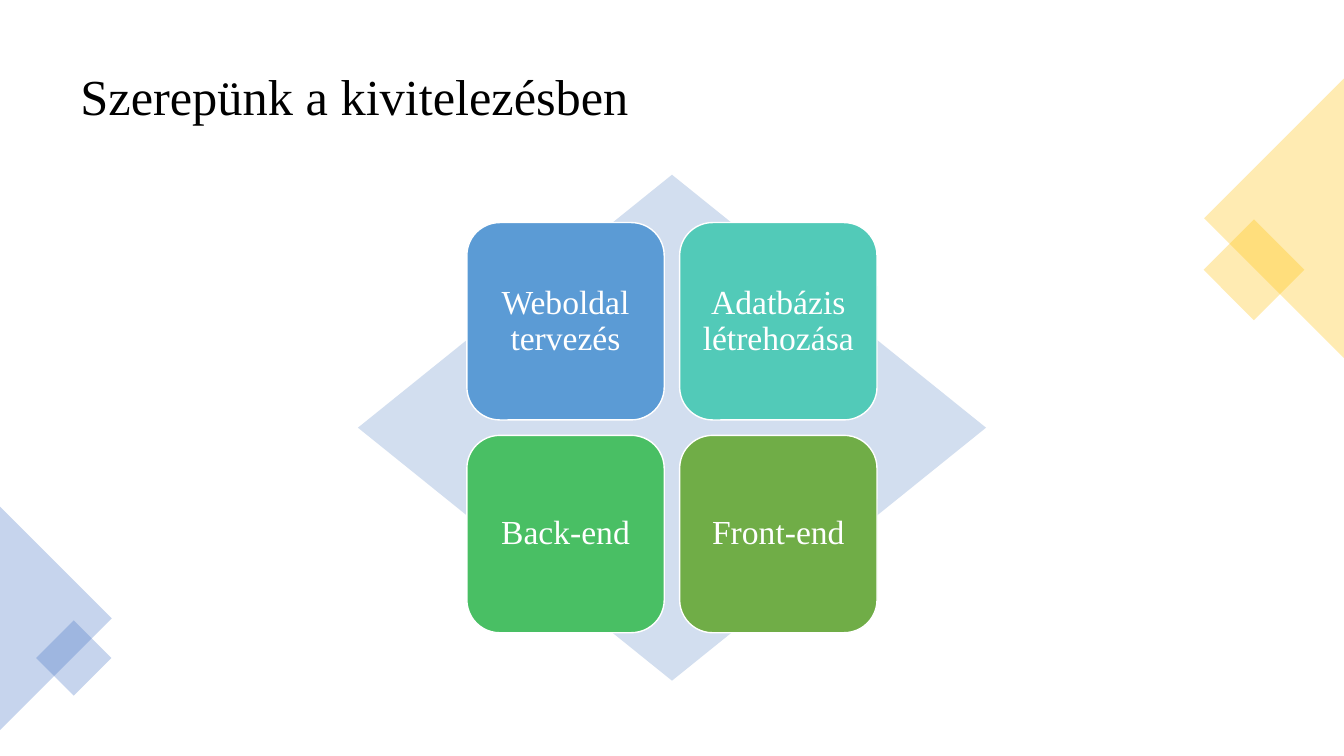
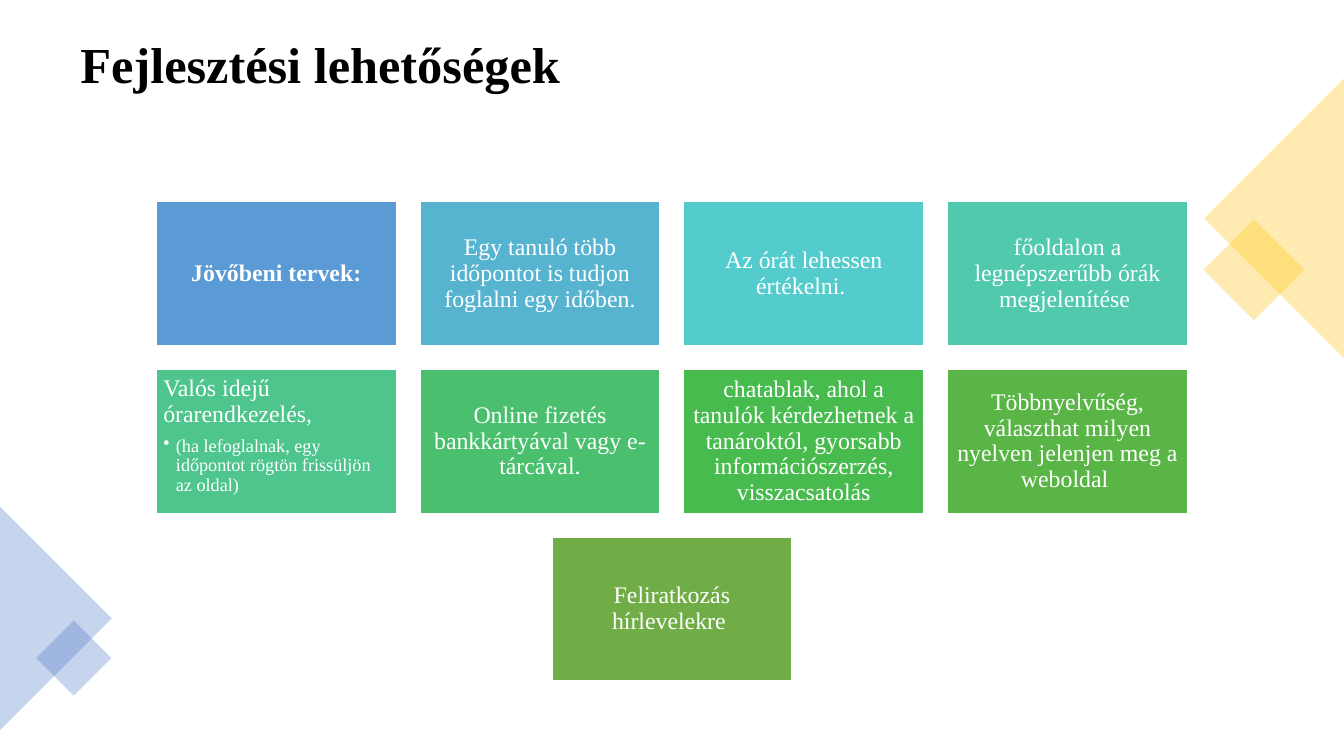
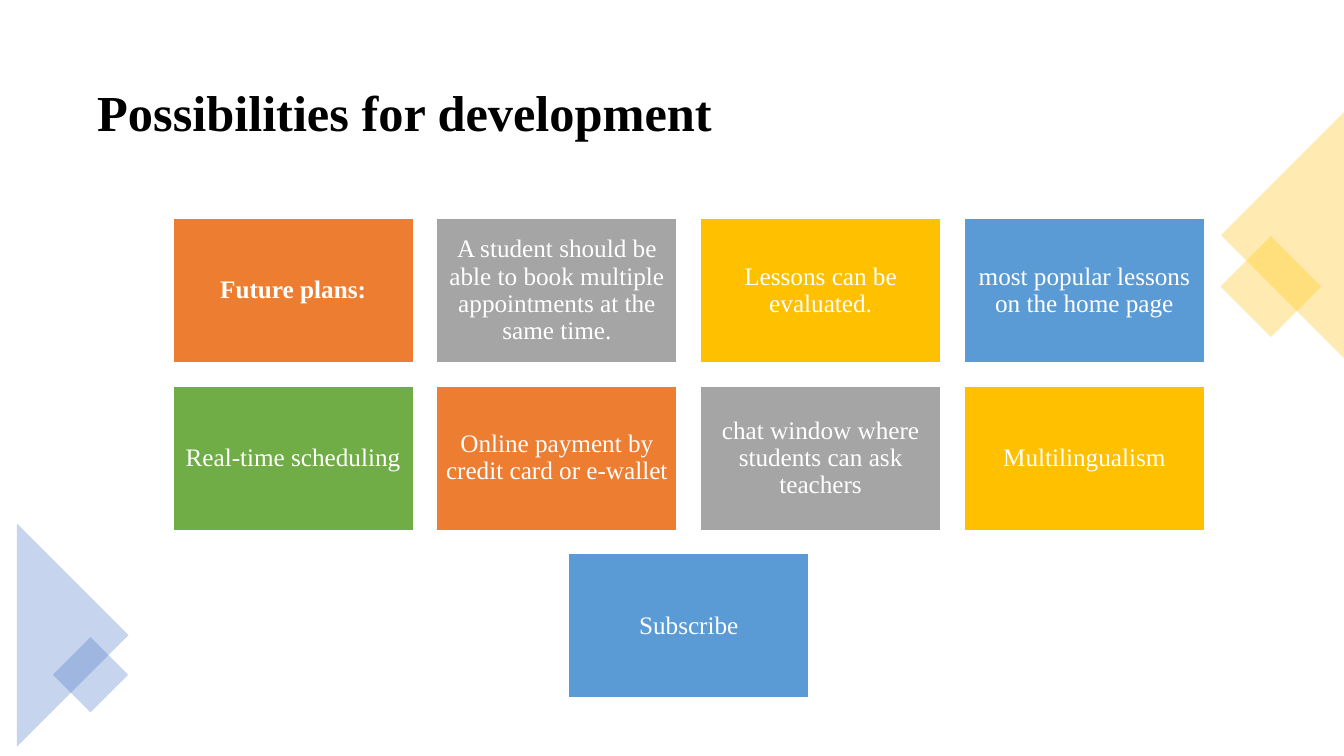
"""Build three slides of tile diagrams framed by corner diamonds."""
from lxml import etree
from pptx import Presentation, util as u
from pptx.dml.color import RGBColor
from pptx.enum import shapes, text
from pptx.oxml.ns import qn

Pt, Kind, Align = u.Pt, shapes.MSO_SHAPE, text.PP_ALIGN


class Theme:
    font = "Times New Roman"
    ink, white, pale = "000000", "FFFFFF", "D2DEEF"
    gold, navy = "FFC000", "4472C4"
    blue, green, orange, gray = "5B9BD5", "70AD47", "ED7D31", "A5A5A5"
    fade = 30
    head, large, mid, base, small = 36, 24, 18, 17, 13
    wide, high = 960, 540


def draw(slide, kind, box, fill, line=None, turn=0, alpha=100):
    """Add a flat preset shape."""
    item = slide.shapes.add_shape(kind, *map(Pt, box))
    item.shadow.inherit = False
    item.rotation = turn
    item.fill.solid()
    item.fill.fore_color.rgb = RGBColor.from_string(fill)
    if alpha < 100:
        tint = item.fill._xPr.find(".//" + qn("a:srgbClr"))
        etree.SubElement(tint, qn("a:alpha"), val=str(alpha * 1000))
    if line:
        item.line.color.rgb = RGBColor.from_string(line)
        item.line.width = Pt(1)
    else:
        item.line.fill.background()
    return item


def write(para, size, color, bold, align):
    """Style one paragraph."""
    para.line_spacing = 0.9
    para.alignment = align
    para.font.name = Theme.font
    para.font.size = Pt(size)
    para.font.bold = bold
    para.font.color.rgb = RGBColor.from_string(color)


corners = [
    (Kind.RECTANGLE, (870.2, 167.2, 51, 51), Theme.gold, 45),
    (Kind.ISOSCELES_TRIANGLE, (810.2, 106, 199.6, 99.8), Theme.gold, 270),
    (Kind.ISOSCELES_TRIANGLE, (-39.7, 401.8, 159.4, 79.7), Theme.navy, 90),
    (Kind.RECTANGLE, (33.7, 451, 38, 38), Theme.navy, 45),
]

roles = [
    ("Weboldal tervezés", Theme.blue),
    ("Adatbázis létrehozása", "52CAB8"),
    ("Back-end", "49BF64"),
    ("Front-end", Theme.green),
]
plans = [
    ("Jövőbeni tervek:", Theme.blue),
    ("Egy tanuló több időpontot is tudjon foglalni egy időben.", "57B4D1"),
    ("Az órát lehessen értékelni. ", "54CCCD"),
    ("főoldalon a legnépszerűbb órák megjelenítése ", "51C9AD"),
    ("Valós idejű órarendkezelés,\n"
     "(ha lefoglalnak, egy időpontot rögtön frissüljön az oldal)", "4DC58D"),
    ("Online fizetés bankkártyával vagy e-tárcával.", "4AC06E"),
    ("chatablak, ahol a tanulók kérdezhetnek a tanároktól, "
     "gyorsabb információszerzés, visszacsatolás", "48BB4F"),
    ("Többnyelvűség, választhat milyen nyelven jelenjen meg a weboldal ", "59B546"),
    ("Feliratkozás hírlevelekre ", Theme.green),
]
goals = [
    ("Future plans:", Theme.orange),
    ("A student should be able to book multiple appointments at the same time.",
     Theme.gray),
    ("Lessons can be evaluated.", Theme.gold),
    ("most popular lessons on the home page", Theme.blue),
    ("Real-time scheduling", Theme.green),
    ("Online payment by credit card or e-wallet", Theme.orange),
    ("chat window where students can ask teachers", Theme.gray),
    ("Multilingualism", Theme.gold),
    ("Subscribe", Theme.blue),
]

square = dict(kind=Kind.ROUNDED_RECTANGLE, cols=2, w=141, h=141, gap=11, top=159)
oblong = dict(kind=Kind.RECTANGLE, cols=4, w=171.6, h=103, gap=16.8, top=144)
pages = [
    ("Szerepünk a kivitelezésben", 26, False, 0, square, roles, Theme.large),
    ("Fejlesztési lehetőségek", 3.5, True, 0, oblong, plans, Theme.base),
    ("Possibilities for development", 26, True, 12, oblong, goals, Theme.mid),
]

deck = Presentation()
deck.slide_width, deck.slide_height = Pt(Theme.wide), Pt(Theme.high)

for title, top, bold, shift, grid, tiles, size in pages:
    slide = deck.slides.add_slide(deck.slide_layouts[6])

    box = slide.shapes.add_textbox(Pt(50.4 + shift), Pt(top + shift), Pt(859), Pt(89.3))
    frame = box.text_frame
    frame.word_wrap = True
    frame.vertical_anchor = text.MSO_ANCHOR.MIDDLE
    frame.text = title
    write(frame.paragraphs[0], Theme.head, Theme.ink, bold, Align.LEFT)

    for kind, (x, y, w, h), fill, turn in corners:
        draw(slide, kind, (x + shift, y + shift, w, h), fill, turn=turn, alpha=Theme.fade)

    if grid is square:
        draw(slide, Kind.DIAMOND, (255.7, 124.8, 448.6, 361.4), Theme.pale)

    cols, w, h, gap = grid["cols"], grid["w"], grid["h"], grid["gap"]
    for i, (words, fill) in enumerate(tiles):
        row, col = divmod(i, cols)
        count = min(cols, len(tiles) - row * cols)
        left = (Theme.wide - count * (w + gap) + gap) / 2 + shift
        spot = (left + col * (w + gap), grid["top"] + shift + row * (h + gap), w, h)
        tile = draw(slide, grid["kind"], spot, fill, line=Theme.white)
        frame = tile.text_frame
        frame.word_wrap = True
        frame.margin_left = frame.margin_right = Pt(size * 0.3)
        frame.margin_top = frame.margin_bottom = Pt(size * 0.3)
        frame.text = words
        first, *rest = frame.paragraphs
        frame.vertical_anchor = text.MSO_ANCHOR.TOP if rest else text.MSO_ANCHOR.MIDDLE
        write(first, size, Theme.white, bold and i == 0,
              Align.LEFT if rest else Align.CENTER)
        for para in rest:
            first.space_after = Pt(6)
            para.level = 1
            props = para._p.get_or_add_pPr()
            props.set("marL", str(Pt(9)))
            props.set("indent", str(Pt(-9)))
            etree.SubElement(props, qn("a:buChar"), char="•")
            write(para, Theme.small, Theme.white, False, Align.LEFT)

deck.save("out.pptx")
